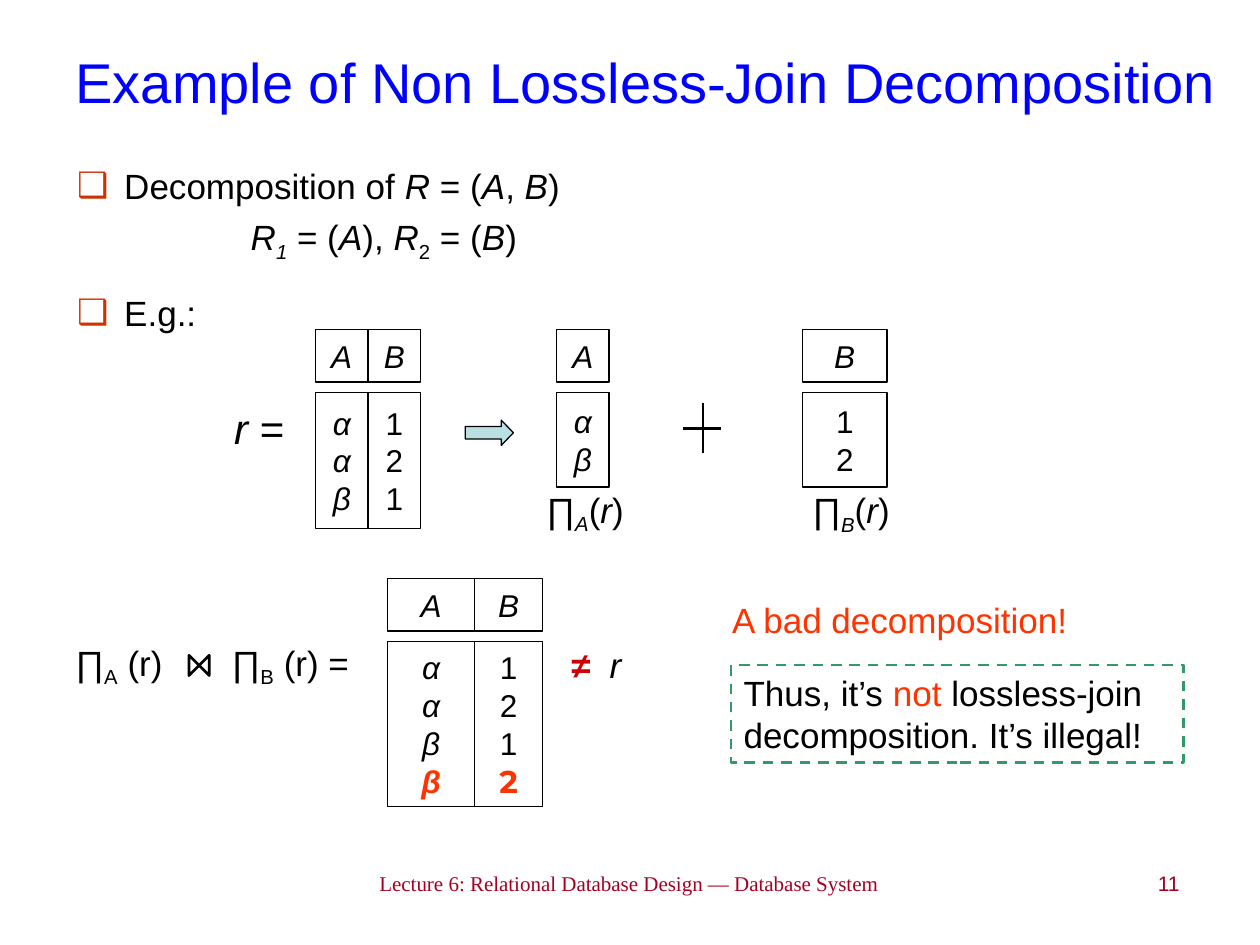
from dataclasses import dataclass, field
from typing import Any, Optional

from lxml import etree
from pptx import Presentation
from pptx import util as u
from pptx.dml import color
from pptx.enum import dml, shapes, text
from pptx.oxml import ns

BLACK, ORANGE, MAROON = "000000", "FF3300", "A50021"
LEFT, CENTER, RIGHT = text.PP_ALIGN.LEFT, text.PP_ALIGN.CENTER, text.PP_ALIGN.RIGHT
MIDDLE, TOP = text.MSO_ANCHOR.MIDDLE, text.MSO_ANCHOR.TOP


@dataclass
class Span:
    words: str
    style: dict[str, Any] = field(default_factory=dict)
    tint: str = BLACK
    sub: bool = False


@dataclass
class Line:
    spans: list[Span]
    before: float = 0
    margin: float = 0
    indent: float = 0
    bullet: Optional[str] = None


@dataclass
class Column:
    heading: str
    width: float
    values: list[Span]


@dataclass
class Relation:
    left: float
    top: float
    height: float
    columns: list[Column]


@dataclass
class Note:
    place: tuple[float, float, float, float]
    line: Line
    size: float = 20
    align: Any = LEFT
    anchor: Any = TOP
    wrap: bool = True
    font: str = "Arial"


def rgb(value: str) -> color.RGBColor:
    return color.RGBColor.from_string(value)


def it(words: str, tint: str = BLACK, sub: bool = False, bold: bool = False) -> Span:
    return Span(words, {"italic": True, "bold": bold}, tint, sub)


def assign(target: Any, values: dict[str, Any]) -> None:
    for name, value in values.items():
        setattr(target, name, value)


def cm(values: tuple[float, ...]) -> list[u.Cm]:
    return [u.Cm(value) for value in values]


def add_mark(parent: Any, tag: str, **values: str) -> Any:
    return etree.SubElement(parent, ns.qn(tag), values)


def write(frame: Any, lines: list[Line], size: float, align: Any = LEFT,
          anchor: Any = TOP, wrap: bool = True, font: str = "Arial") -> None:
    assign(frame, {"auto_size": text.MSO_AUTO_SIZE.NONE, "word_wrap": wrap,
                   "vertical_anchor": anchor})
    for index, line in enumerate(lines):
        para = frame.add_paragraph() if index else frame.paragraphs[0]
        assign(para, {"alignment": align, "space_before": u.Pt(line.before)})
        props = para._p.get_or_add_pPr()
        props.set("marL", str(u.Cm(line.margin)))
        props.set("indent", str(u.Cm(line.indent)))
        if line.bullet:
            add_mark(add_mark(props, "a:buClr"), "a:srgbClr", val="CC3300")
            add_mark(props, "a:buChar", char=line.bullet)
        else:
            add_mark(props, "a:buNone")
        for item in line.spans:
            span = para.add_run()
            span.text = item.words
            assign(span.font, {"name": font, "size": u.Pt(size)} | item.style)
            span.font.color.rgb = rgb(item.tint)
            if item.sub:
                span._r.get_or_add_rPr().set("baseline", "-25000")


def add_shape(page: Any, kind: Any, place: tuple[float, ...], fill: Optional[str],
              line: str = BLACK, weight: float = 0.75) -> Any:
    box = page.shapes.add_shape(kind, *cm(place))
    box.shadow.inherit = False
    if fill:
        box.fill.solid()
        box.fill.fore_color.rgb = rgb(fill)
    else:
        box.fill.background()
    box.line.color.rgb = rgb(line)
    box.line.width = u.Pt(weight)
    return box


def add_relation(page: Any, relation: Relation) -> None:
    left = relation.left
    for column in relation.columns:
        for top, height, values in ((relation.top, 1.06, [it(column.heading)]),
                                    (relation.top + 1.27, relation.height, column.values)):
            box = add_shape(page, shapes.MSO_SHAPE.RECTANGLE,
                            (left, top, column.width, height), "FFFFFF")
            write(box.text_frame, [Line([value]) for value in values], 18, CENTER, MIDDLE, False)
        left += column.width


def add_note(page: Any, note: Note) -> None:
    box = page.shapes.add_textbox(*cm(note.place))
    write(box.text_frame, [note.line], note.size, note.align, note.anchor, note.wrap, note.font)


def add_line(page: Any, ends: tuple[float, float, float, float]) -> None:
    line = page.shapes.add_connector(shapes.MSO_CONNECTOR.STRAIGHT, *cm(ends))
    line.line.color.rgb = rgb(BLACK)
    line.line.width = u.Pt(1.5)
    add_mark(line._element.spPr, "a:effectLst")


def add_bowtie(page: Any, left: float, top: float, side: float) -> None:
    right, bottom = left + side, top + side
    builder = page.shapes.build_freeform(u.Cm(left), u.Cm(top))
    builder.add_line_segments([cm(point) for point in
                               ((left, bottom), (right, top), (right, bottom))], close=True)
    bowtie = builder.convert_to_shape()
    bowtie.shadow.inherit = False
    bowtie.fill.background()
    bowtie.line.color.rgb = rgb(BLACK)
    bowtie.line.width = u.Pt(1.5)


def fill_placeholder(box: Any, place: tuple[float, ...], lines: list[Line],
                     size: float, anchor: Any) -> None:
    assign(box, dict(zip(("left", "top", "width", "height"), cm(place))))
    write(box.text_frame, lines, size, LEFT, anchor)


def projection(name: str) -> Line:
    return Line([Span("∏"), it(name, sub=True), Span("("), it("r"), Span(")")])


def operand(name: str, ending: str) -> Line:
    return Line([Span("∏"), Span(name, sub=True), Span(ending)])


def build() -> None:
    deck = Presentation()
    deck.slide_width, deck.slide_height = cm((25.4, 19.05))
    page = deck.slides.add_slide(deck.slide_layouts[1])

    fill_placeholder(page.shapes.title, (1.27, 0.05, 23.57, 3.18),
                     [Line([Span("Example of Non Lossless-Join Decomposition", tint="0000FF")])],
                     32, MIDDLE)
    bullet = {"margin": 0.95, "indent": -0.95, "bullet": "❑"}
    fill_placeholder(page.placeholders[1], (1.3, 3.19, 22.86, 13.74), [
        Line([Span("Decomposition of "), it("R "), Span("= ("), it("A"), Span(","),
              it(" B"), Span(")")], 5, **bullet),
        Line([it("R"), it("1", sub=True), Span(" = ("), it("A"), Span("), "), it("R"),
              Span("2", sub=True), Span(" = ("), it("B"), Span(")")], 5, 3.5),
        Line([Span("E.g.:")], 16.5, **bullet),
    ], 20, TOP)

    alpha, beta, one, two = it("α"), it("β"), Span("1"), Span("2")
    extra_beta = it("β", ORANGE, bold=True)
    extra_two = Span("2", {"bold": True, "name": "Montserrat"}, ORANGE)
    for relation in (
        Relation(6.36, 6.64, 2.74, [Column("A", 1.06, [alpha, alpha, beta]),
                                    Column("B", 1.06, [one, two, one])]),
        Relation(11.22, 6.64, 1.91, [Column("A", 1.06, [alpha, beta])]),
        Relation(16.18, 6.64, 1.91, [Column("B", 1.7, [one, two])]),
        Relation(7.81, 11.66, 3.33, [Column("A", 1.76, [alpha, alpha, beta, extra_beta]),
                                     Column("B", 1.37, [one, two, one, extra_two])]),
    ):
        add_relation(page, relation)

    arrow = add_shape(page, shapes.MSO_SHAPE.RIGHT_ARROW, (9.38, 8.47, 0.97, 0.51), "BBE0E3")
    arrow.adjustments[1] = 0.48
    add_line(page, (13.77, 8.64, 14.53, 8.64))
    add_line(page, (14.17, 8.13, 14.17, 9.14))
    add_bowtie(page, 3.81, 13.21, 0.41)

    footer = "Lecture 6: Relational Database Design — Database System"
    for note in (
        Note((5.8, 17.42, 13.77, 1.14), Line([Span(footer, tint=MAROON)]), 12, CENTER,
             font="Times New Roman"),
        Note((20.42, 17.42, 3.61, 1.12), Line([Span("11", tint=MAROON)]), 12, RIGHT),
        Note((4.29, 7.99, 2.11, 1.27), Line([it("r "), Span("= ")]), 24, CENTER, MIDDLE),
        Note((10.74, 9.71, 2.11, 1.22), projection("A"), 20, CENTER, MIDDLE, False),
        Note((16.1, 9.72, 2.11, 1.22), projection("B"), 20, CENTER, MIDDLE, False),
        Note((1.27, 12.8, 2.5, 1.52), operand("A", " (r)"), wrap=False),
        Note((4.42, 12.8, 3.38, 1.52), operand("B", " (r) ="), wrap=False),
        Note((11.27, 12.84, 0.9, 1.12), Line([Span("≠", {"bold": True}, "CC0000")]), wrap=False),
        Note((12.04, 12.84, 0.9, 1.12), Line([it("r")]), wrap=False),
        Note((14.51, 11.94, 9.32, 1.12), Line([Span("A bad decomposition!", tint=ORANGE)])),
    ):
        add_note(page, note)

    verdict = add_shape(page, shapes.MSO_SHAPE.RECTANGLE, (14.74, 13.41, 9.12, 1.96),
                        None, "339966", 1.5)
    verdict.line.dash_style = dml.MSO_LINE.DASH
    write(verdict.text_frame, [Line([Span("Thus, it’s "), Span("not", tint=ORANGE),
                                     Span(" lossless-join decomposition. It’s illegal!")])], 20)
    deck.save("out.pptx")


if __name__ == "__main__":
    build()
